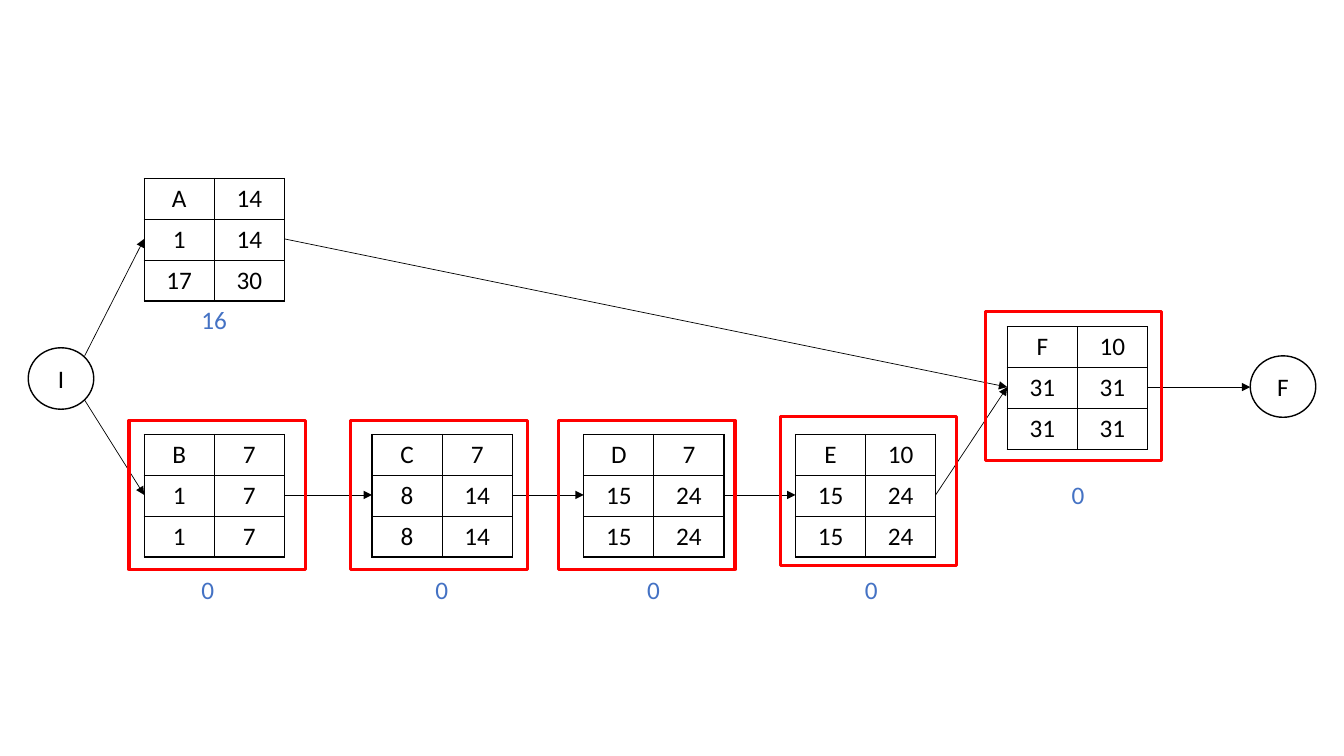
from dataclasses import dataclass
from typing import Optional

from lxml.etree import SubElement
from pptx import Presentation
from pptx.dml.color import RGBColor
from pptx.enum.shapes import MSO_CONNECTOR, MSO_SHAPE
from pptx.enum.text import MSO_ANCHOR, MSO_AUTO_SIZE, PP_ALIGN
from pptx.oxml.ns import qn
from pptx.util import Inches, Pt

COLORS = {"ink": "000000", "slack": "4472C4", "critical": "FF0000"}
FONT = "Calibri"
NODE_WIDTH, NODE_HEIGHT = 1.39, 1.2
CIRCLE_WIDTH, CIRCLE_HEIGHT = 0.65, 0.61
FRAME_WIDTH, FRAME_HEIGHT = 1.75, 1.48


@dataclass
class Activity:
    """An activity node with its times, slack label and optional critical frame."""

    left: float
    top: float
    rows: list
    slack: str
    slack_at: tuple
    frame_at: Optional[tuple] = None

    @property
    def entry(self):
        """Return the middle of the left edge."""
        return self.left, self.top + NODE_HEIGHT / 2

    @property
    def leave(self):
        """Return the middle of the right edge."""
        return self.left + NODE_WIDTH, self.top + NODE_HEIGHT / 2


ACTIVITIES = {
    "A": Activity(1.43, 1.77, [("A", 14), (1, 14), (17, 30)], "16", (1.9, 2.97)),
    "B": Activity(1.43, 4.31, [("B", 7), (1, 7), (1, 7)], "0", (1.9, 5.65), (1.28, 4.17)),
    "C": Activity(3.69, 4.31, [("C", 7), (8, 14), (8, 14)], "0", (4.22, 5.65), (3.48, 4.17)),
    "D": Activity(5.79, 4.31, [("D", 7), (15, 24), (15, 24)], "0", (6.32, 5.65), (5.54, 4.17)),
    "E": Activity(7.89, 4.31, [("E", 10), (15, 24), (15, 24)], "0", (8.48, 5.65), (7.74, 4.13)),
    "F": Activity(9.99, 3.24, [("F", 10), (31, 31), (31, 31)], "0", (10.53, 4.71), (9.77, 3.09)),
}
LINKS = ["BC", "AF", "CD", "DE", "EF"]
START, FINISH = (0.28, 3.45), (12.4, 3.53)


def color(name):
    """Return the named colour."""
    return RGBColor.from_string(COLORS[name])


def write(text_frame, text, ink="ink", align=PP_ALIGN.CENTER):
    """Write one line of text in the diagram's type."""
    text_frame.text = text
    paragraph = text_frame.paragraphs[0]
    paragraph.alignment = align
    font = paragraph.runs[0].font
    font.name, font.size, font.bold = FONT, Pt(18), False
    font.color.rgb = color(ink)


def add_outline(slide, kind, left, top, width, height, ink, weight):
    """Add an unfilled outlined shape."""
    shape = slide.shapes.add_shape(
        kind, Inches(left), Inches(top), Inches(width), Inches(height))
    shape.shadow.inherit = False
    shape.fill.background()
    shape.line.color.rgb = color(ink)
    shape.line.width = Pt(weight)
    return shape


def add_terminal(slide, left, top, text):
    """Add a start or finish circle."""
    circle = add_outline(slide, MSO_SHAPE.OVAL, left, top,
                         CIRCLE_WIDTH, CIRCLE_HEIGHT, "ink", 1)
    circle.text_frame.vertical_anchor = MSO_ANCHOR.MIDDLE
    write(circle.text_frame, text)


def set_borders(cell):
    """Draw a thin line on all four sides of a cell."""
    properties = cell._tc.get_or_add_tcPr()
    for index, side in enumerate(("a:lnL", "a:lnR", "a:lnT", "a:lnB")):
        line = properties.makeelement(qn(side), {"w": str(Pt(1))})
        fill = SubElement(line, qn("a:solidFill"))
        SubElement(fill, qn("a:srgbClr"), val=COLORS["ink"])
        properties.insert(index, line)


def add_node(slide, activity):
    """Add the table of an activity."""
    rows, columns = len(activity.rows), len(activity.rows[0])
    frame = slide.shapes.add_table(
        rows, columns, Inches(activity.left), Inches(activity.top),
        Inches(NODE_WIDTH), Inches(NODE_HEIGHT))
    table = frame.table
    table.first_row = table.horz_banding = False
    for row, values in enumerate(activity.rows):
        for column, value in enumerate(values):
            cell = table.cell(row, column)
            cell.fill.background()
            write(cell.text_frame, str(value))
            set_borders(cell)


def add_arrow(slide, start, end):
    """Add a thin arrow between two points."""
    points = [Inches(value) for value in (*start, *end)]
    arrow = slide.shapes.add_connector(MSO_CONNECTOR.STRAIGHT, *points)
    arrow.line.color.rgb = color("ink")
    arrow.line.width = Pt(0.5)
    SubElement(arrow.line._get_or_add_ln(), qn("a:tailEnd"), type="triangle")
    SubElement(arrow._element.spPr, qn("a:effectLst"))


def add_slack(slide, left, top, text):
    """Add the slack value below an activity."""
    width = 0.46 if len(text) > 1 else 0.33
    box = slide.shapes.add_textbox(Inches(left), Inches(top), Inches(width), Inches(0.4))
    box.text_frame.word_wrap = False
    box.text_frame.auto_size = MSO_AUTO_SIZE.SHAPE_TO_FIT_TEXT
    write(box.text_frame, text, "slack", PP_ALIGN.LEFT)


def add_arrows(slide):
    """Link the terminals and activities."""
    start_right, start_top = START[0] + 0.56, START[1] + 0.08
    start_bottom = START[1] + 0.52
    add_arrow(slide, (start_right, start_top), ACTIVITIES["A"].entry)
    add_arrow(slide, (start_right, start_bottom), ACTIVITIES["B"].entry)
    for source, target in LINKS:
        add_arrow(slide, ACTIVITIES[source].leave, ACTIVITIES[target].entry)
    add_arrow(slide, ACTIVITIES["F"].leave, (FINISH[0], ACTIVITIES["F"].leave[1]))


def build_network(slide):
    """Build the activity network with its critical path."""
    add_terminal(slide, *START, "I")
    for activity in ACTIVITIES.values():
        add_node(slide, activity)
    add_terminal(slide, *FINISH, "F")
    add_arrows(slide)
    for activity in ACTIVITIES.values():
        add_slack(slide, *activity.slack_at, activity.slack)
    for activity in ACTIVITIES.values():
        if activity.frame_at:
            add_outline(slide, MSO_SHAPE.RECTANGLE, *activity.frame_at,
                        FRAME_WIDTH, FRAME_HEIGHT, "critical", 2.25)


presentation = Presentation()
presentation.slide_width, presentation.slide_height = Inches(13.33), Inches(7.5)
build_network(presentation.slides.add_slide(presentation.slide_layouts[6]))
presentation.save("out.pptx")
